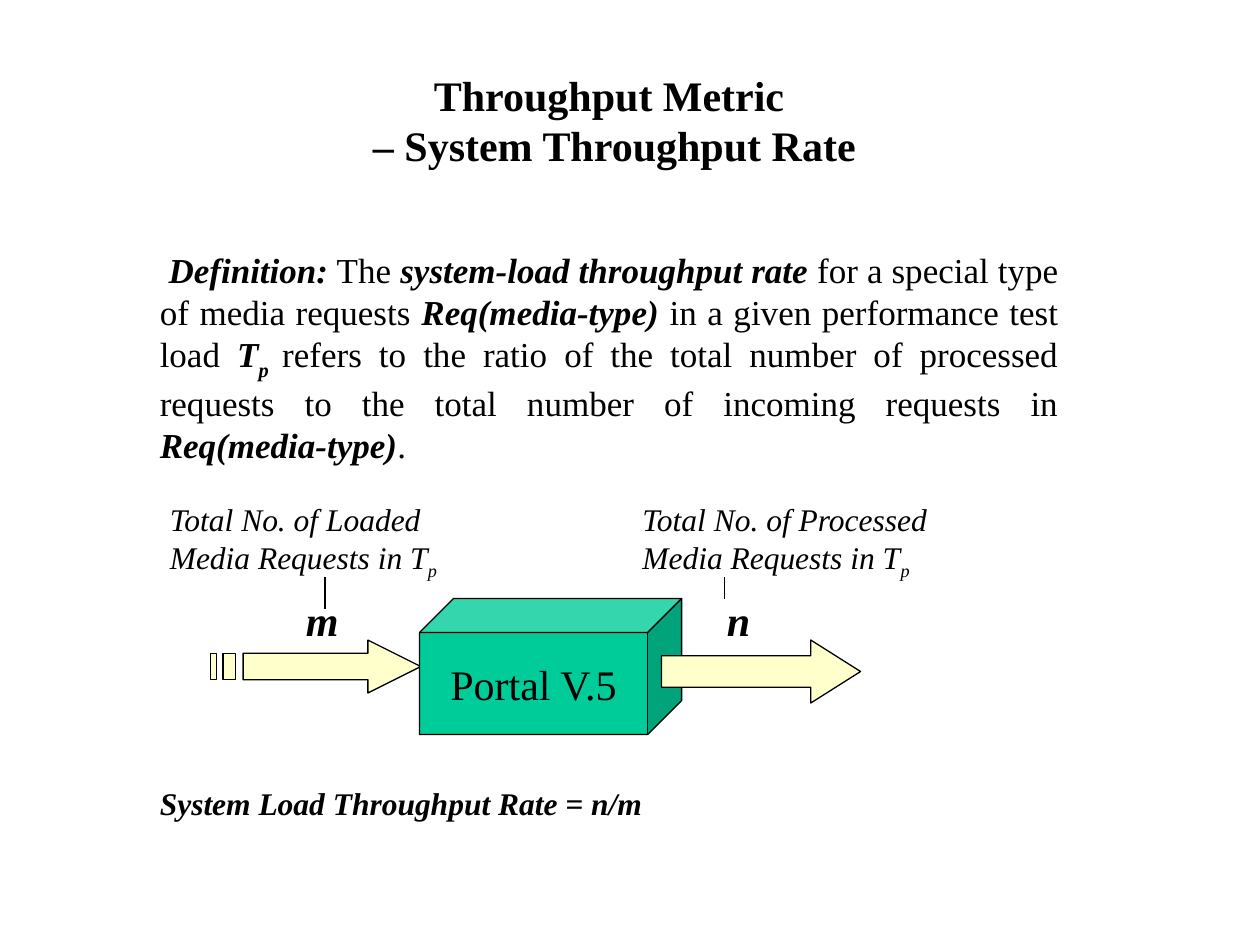
from lxml.etree import SubElement
from pptx import Presentation
from pptx.dml.color import RGBColor
from pptx.enum.shapes import MSO_CONNECTOR, MSO_SHAPE
from pptx.enum.text import MSO_ANCHOR, MSO_AUTO_SIZE, PP_ALIGN
from pptx.oxml.ns import qn
from pptx.util import Inches, Pt

BLACK = RGBColor(0x00, 0x00, 0x00)
GREEN = RGBColor(0x00, 0xCC, 0x99)
CREAM = RGBColor(0xFF, 0xFF, 0xCC)
FONT = "Times New Roman"


def set_font(paragraph, size, bold=None, italic=None):
    font = paragraph.font
    font.name, font.size = FONT, Pt(size)
    font.bold, font.italic = bold, italic
    font.color.rgb = BLACK


def add_run(paragraph, text, strong=None, baseline=None):
    run = paragraph.add_run()
    run.text = text
    if strong:
        run.font.bold = run.font.italic = True
    if baseline:
        run.font._element.set("baseline", str(baseline * 1000))


def add_text(slide, box, paragraphs, size, align=PP_ALIGN.LEFT, bold=None,
             italic=None, wrap=True):
    """Each paragraph is a list of (text, strong, baseline percent) runs."""
    frame = slide.shapes.add_textbox(*map(Inches, box)).text_frame
    frame.word_wrap = wrap
    frame.auto_size = MSO_AUTO_SIZE.SHAPE_TO_FIT_TEXT
    for index, runs in enumerate(paragraphs):
        paragraph = frame.add_paragraph() if index else frame.paragraphs[0]
        paragraph.alignment = align
        set_font(paragraph, size, bold, italic)
        for run in runs:
            add_run(paragraph, *run)


def style(shape, fill):
    shape.shadow.inherit = False
    shape.fill.solid()
    shape.fill.fore_color.rgb = fill
    shape.line.color.rgb = BLACK
    shape.line.width = Pt(0.75)


def add_title(slide, box):
    lines = [[("Throughput Metric ",)], [("– System Throughput Rate",)]]
    add_text(slide, box, lines, 24, PP_ALIGN.CENTER, bold=True)


def add_definition(slide, box):
    runs = [
        ("\u00a0",), ("Definition:", True), (" The ",),
        ("system-load throughput rate", True),
        (" for a special type of media requests ",),
        ("Req(media-type)", True),
        (" in a given performance test load ",),
        ("T", True), ("p ", True, -30),
        ("refers to the ratio of the total number of processed requests "
         "to the total number of incoming requests in ",),
        ("Req(media-type)", True), (". ",),
    ]
    add_text(slide, box, [runs], 20, PP_ALIGN.JUSTIFY)


def add_striped_arrow(slide, box):
    """Block arrow whose tail is broken into two stripes."""
    left, top, width, height = box
    right, bottom, middle = left + width, top + height, top + height / 2
    upper, lower = top + height / 4, bottom - height / 4
    neck = right - height

    def bar(start, end):
        return [(start, upper), (end, upper), (end, lower), (start, lower)]

    body = left + 0.26
    head = [(body, upper), (neck, upper), (neck, top), (right, middle),
            (neck, bottom), (neck, lower), (body, lower)]
    outlines = [[(Inches(x), Inches(y)) for x, y in points] for points in
                (head, bar(left, left + 0.05), bar(left + 0.1, left + 0.2))]
    builder = slide.shapes.build_freeform(*outlines[0][0])
    for index, (start, *rest) in enumerate(outlines):
        if index:
            builder.move_to(*start)
        builder.add_line_segments(rest, close=True)
    style(builder.convert_to_shape(), CREAM)


def add_portal(slide, box):
    portal = slide.shapes.add_shape(MSO_SHAPE.CUBE, *map(Inches, box))
    style(portal, GREEN)
    frame = portal.text_frame
    frame.word_wrap = False
    frame.vertical_anchor = MSO_ANCHOR.MIDDLE
    paragraph = frame.paragraphs[0]
    paragraph.alignment = PP_ALIGN.CENTER
    set_font(paragraph, 24)
    add_run(paragraph, "Portal V.5")
    # The shape style would turn the label white
    paragraph.runs[0].font.color.rgb = BLACK


def add_output_arrow(slide, box):
    arrow = slide.shapes.add_shape(MSO_SHAPE.RIGHT_ARROW, *map(Inches, box))
    arrow.adjustments[1] = 0.79
    style(arrow, CREAM)


def add_tick(slide, x, top, bottom):
    tick = slide.shapes.add_connector(
        MSO_CONNECTOR.STRAIGHT, *map(Inches, (x, top, x, bottom)))
    tick.line.color.rgb = BLACK
    tick.line.width = Pt(0.75)
    SubElement(tick._element.spPr, qn("a:effectLst"))


def add_diagram(slide, box):
    left, top, width, height = box
    # Request flow through the portal
    add_striped_arrow(slide, (left + 0.42, top + 1.16, 1.67, 0.42))
    add_portal(slide, (left + 2.08, top + 0.83, 2.08, 1.08))
    add_output_arrow(slide, (left + 4, top + 1.16, 1.58, 0.5))
    # Captions, each tied to its symbol by a tick
    flows = [
        ("Loaded", left, 2.33, "m", 1.08, 0.46, 1.33, 0.25),
        ("Processed", left + 3.75, 2.58, "n", 0.67, 0.39, 0.75, 0.17),
    ]
    for state, x, caption_width, symbol, dx, symbol_width, tick_dx, length in flows:
        caption = [(f"Total No. of {state} Media Requests in T",), ("p", None, -25)]
        add_text(slide, (x, top, caption_width, 0.74), [caption], 18, italic=True)
        add_text(slide, (x + dx, top + 0.75, symbol_width, 0.5), [[(symbol,)]],
                 24, bold=True, italic=True, wrap=False)
        add_tick(slide, x + tick_dx, top + 0.66, top + 0.66 + length)


def add_formula(slide, box):
    add_text(slide, box, [[("System Load Throughput Rate = n/m",)]], 18,
             bold=True, italic=True)


def main():
    deck = Presentation()
    deck.slide_width, deck.slide_height = Inches(10), Inches(7.5)
    slide = deck.slides.add_slide(deck.slide_layouts[6])
    add_title(slide, (1.25, 0.5, 7.25, 0.9))
    add_definition(slide, (1.17, 1.92, 7.33, 1.83))
    add_diagram(slide, (1.25, 3.92, 6.33, 1.91))
    add_formula(slide, (1.17, 6.17, 7.33, 0.4))
    deck.save("out.pptx")


if __name__ == "__main__":
    main()
